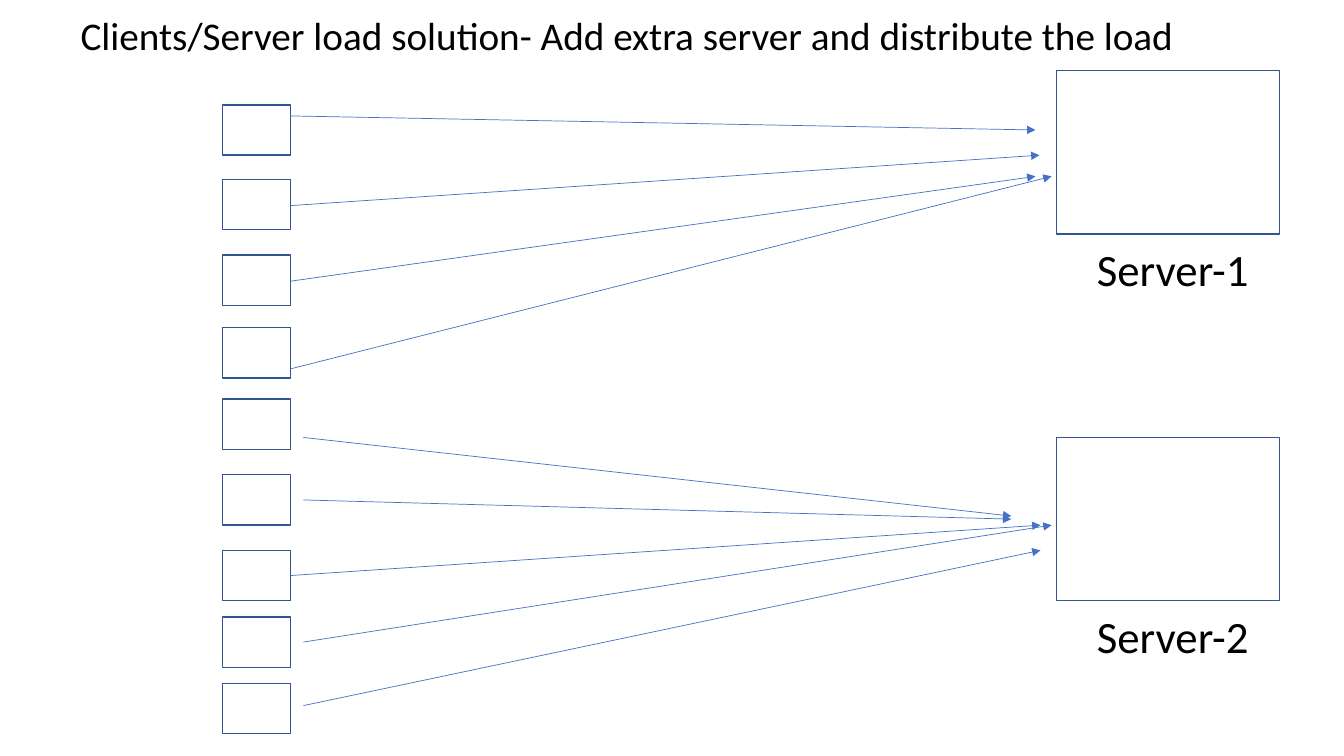
import pptx
import pptx.util
import pptx.dml.color
import pptx.enum.shapes
import pptx.enum.text
import pptx.oxml
import pptx.oxml.ns
from dataclasses import dataclass

PX = 9144  # EMU per px, 100 px to the inch


@dataclass(frozen=True)
class Theme:
    font: str = "Calibri"
    ink: str = "000000"
    edge: str = "325491"
    arrow: str = "4472C4"
    title: int = 28
    label: int = 32
    border: float = 1
    thin: float = 0.5


class Board:
    def __init__(self, deck, theme):
        self.theme = theme
        self.slide = deck.slides.add_slide(deck.slide_layouts[5])

    def letter(self, shape, text, size):
        frame = shape.text_frame
        frame.text = text
        frame.word_wrap = True
        frame.auto_size = pptx.enum.text.MSO_AUTO_SIZE.SHAPE_TO_FIT_TEXT
        frame.vertical_anchor = pptx.enum.text.MSO_ANCHOR.TOP
        para = frame.paragraphs[0]
        para.alignment = pptx.enum.text.PP_ALIGN.LEFT
        para.font.name = self.theme.font
        para.font.size = pptx.util.Pt(size)
        para.font.color.rgb = pptx.dml.color.RGBColor.from_string(self.theme.ink)

    def stroke(self, line, color, width):
        line.color.rgb = pptx.dml.color.RGBColor.from_string(color)
        line.width = pptx.util.Pt(width)

    def title(self, text, x, y, w, h):
        shape = self.slide.shapes.title
        shape.left, shape.top, shape.width, shape.height = (v * PX for v in (x, y, w, h))
        self.letter(shape, text, self.theme.title)

    def label(self, text, x, y, w, h):
        shape = self.slide.shapes.add_textbox(x * PX, y * PX, w * PX, h * PX)
        self.letter(shape, text, self.theme.label)

    def box(self, x, y, w, h):
        kind = pptx.enum.shapes.MSO_SHAPE.RECTANGLE
        shape = self.slide.shapes.add_shape(kind, x * PX, y * PX, w * PX, h * PX)
        shape.shadow.inherit = False
        shape.fill.background()
        self.stroke(shape.line, self.theme.edge, self.theme.border)

    def arrow(self, x1, y1, x2, y2):
        kind = pptx.enum.shapes.MSO_CONNECTOR.STRAIGHT
        link = self.slide.shapes.add_connector(kind, x1 * PX, y1 * PX, x2 * PX, y2 * PX)
        self.stroke(link.line, self.theme.arrow, self.theme.thin)
        ns = 'xmlns:a="http://schemas.openxmlformats.org/drawingml/2006/main"'
        props = link.element.spPr
        head = pptx.oxml.parse_xml(f'<a:tailEnd {ns} type="triangle"/>')
        props.find(pptx.oxml.ns.qn("a:ln")).append(head)
        props.append(pptx.oxml.parse_xml(f"<a:effectLst {ns}/>"))


def main():
    deck = pptx.Presentation()
    deck.slide_width = 1333 * PX
    deck.slide_height = 750 * PX
    board = Board(deck, Theme())

    board.title("Clients/Server load solution- Add extra server and distribute the load",
                70, 6, 1194, 57)

    # Servers with their names
    for name, top in (("Server-1", 70), ("Server-2", 434)):
        board.box(1048, top, 221, 162)
        board.label(name, 1078, top + 165, 190, 64)

    # Each client: box top, then its arrow's start and end
    clients = (
        (104, 288, 115, 1027, 129),
        (178, 288, 204, 1031, 154),
        (253, 288, 279, 1027, 175),
        (325, 288, 366, 1043, 175),
        (396, 301, 434, 1003, 512),
        (471, 301, 496, 1003, 515),
        (546, 288, 571, 1032, 521),
        (612, 301, 637, 1043, 521),
        (678, 301, 700, 1032, 546),
    )
    for top, *ends in clients:
        board.box(221, top, 67, 50)
        board.arrow(*ends)

    deck.save("out.pptx")


if __name__ == "__main__":
    main()
